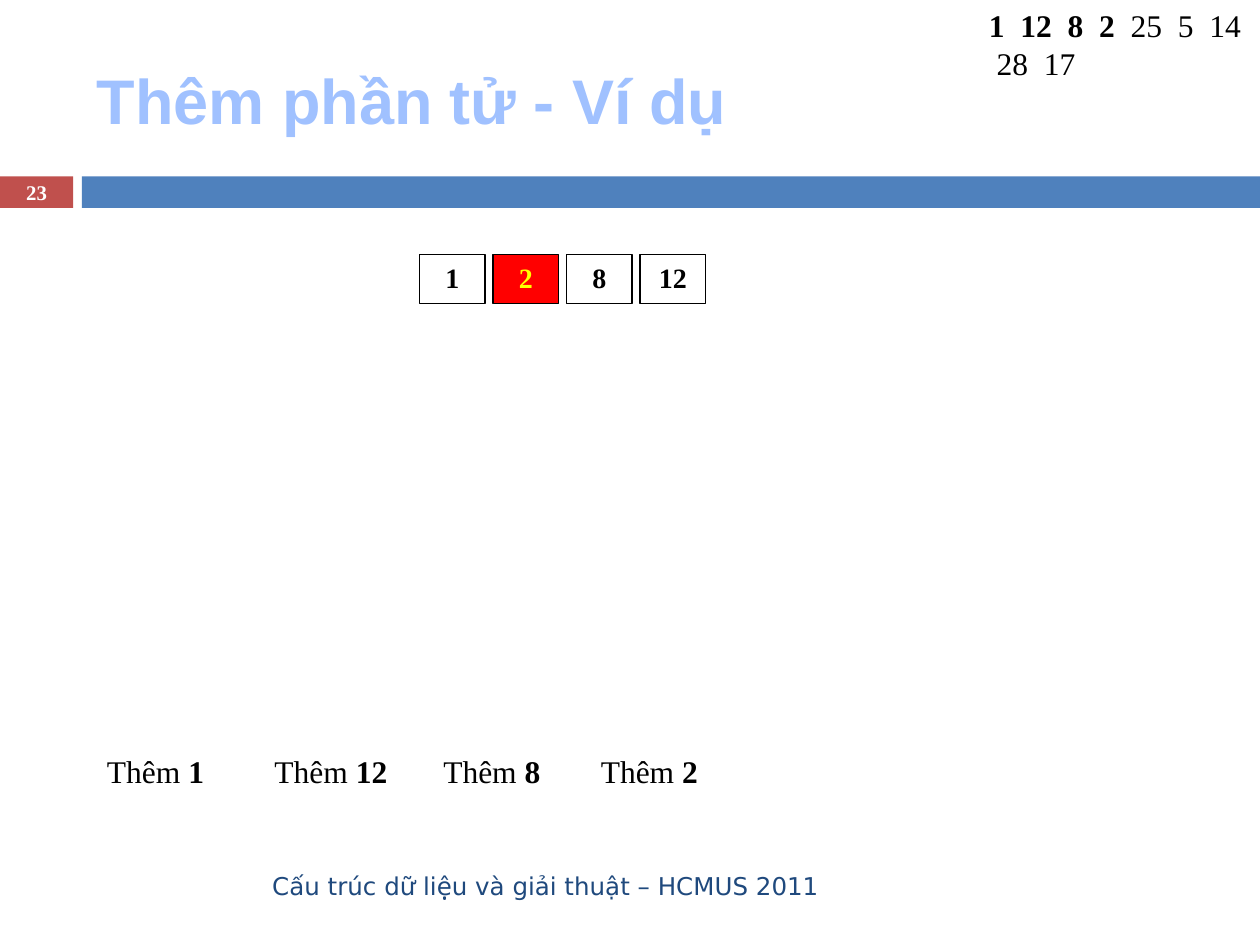
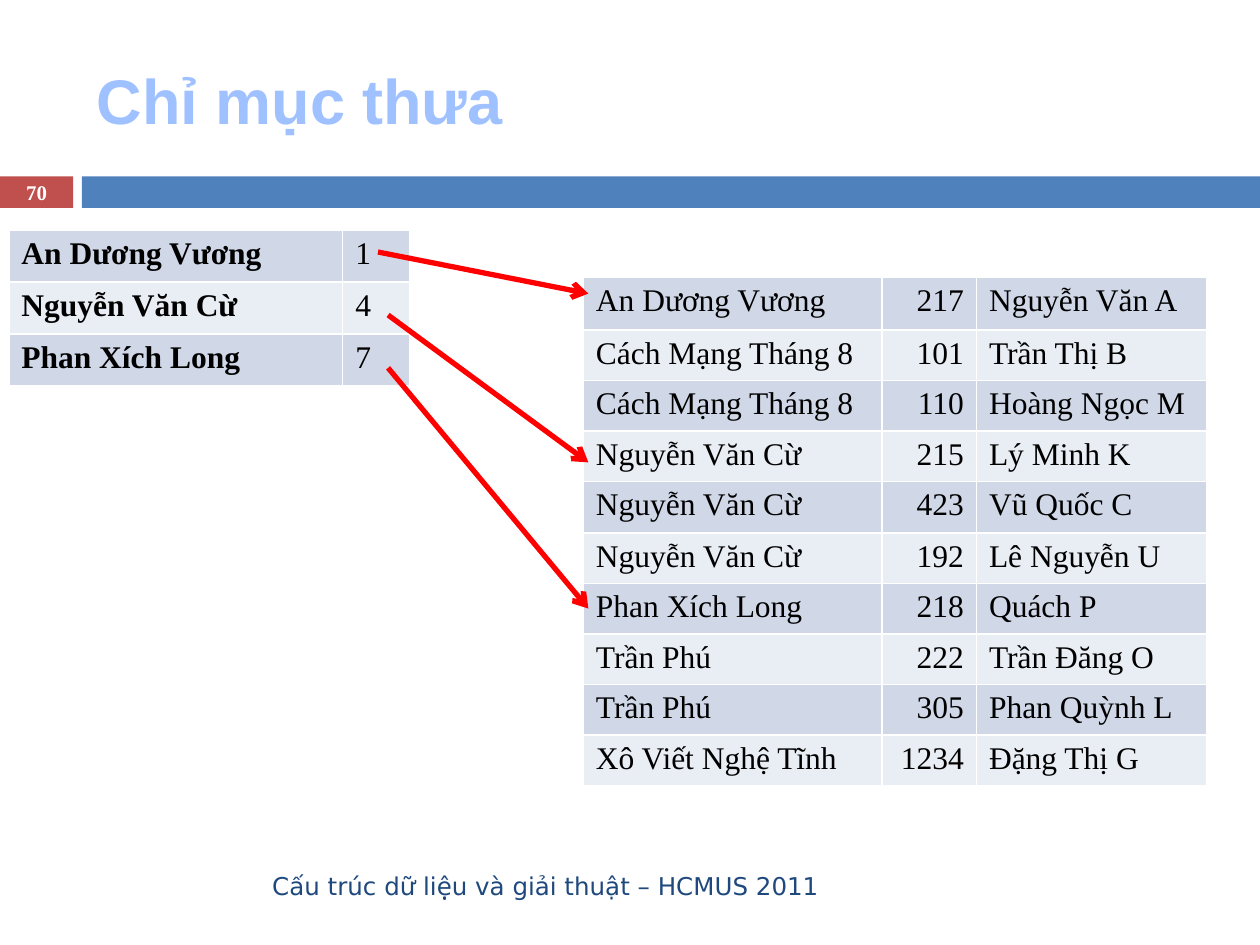
from lxml import etree
from pptx import Presentation
from pptx import util as u
from pptx.dml.color import RGBColor
from pptx.enum import shapes, text
from pptx.oxml import ns

COLORS = {
    "accent": "C0504D", "band": "4F81BD", "title": "A0C1FF", "footer": "1F497D",
    "black": "000000", "white": "FFFFFF", "red": "FF0000", "yellow": "FFFF00",
    "odd_row": "D0D8E8", "even_row": "E9EDF4",
}
SERIF = "Times New Roman"
FOOTER = "Cấu trúc dữ liệu và giải thuật – HCMUS 2011"
LEFT, CENTER, RIGHT = text.PP_ALIGN.LEFT, text.PP_ALIGN.CENTER, text.PP_ALIGN.RIGHT
TOP, MIDDLE = text.MSO_ANCHOR.TOP, text.MSO_ANCHOR.MIDDLE

INDEX_ROWS = [("An Dương Vương", "1"), ("Nguyễn Văn Cừ", "4"), ("Phan Xích Long", "7")]
RECORD_ROWS = [
    ("An Dương Vương", "217", "Nguyễn Văn A"),
    ("Cách Mạng Tháng 8", "101", "Trần Thị B"),
    ("Cách Mạng Tháng 8", "110", "Hoàng Ngọc M"),
    ("Nguyễn Văn Cừ", "215", "Lý Minh K"),
    ("Nguyễn Văn Cừ", "423", "Vũ Quốc C"),
    ("Nguyễn Văn Cừ", "192", "Lê Nguyễn U"),
    ("Phan Xích Long", "218", "Quách P"),
    ("Trần Phú", "222", "Trần Đăng O"),
    ("Trần Phú", "305", "Phan Quỳnh L"),
    ("Xô Viết Nghệ Tĩnh", "1234", "Đặng Thị G"),
]
RECORD_HEIGHTS = [0.42, 0.37, 0.39, 0.39, 0.41] + [0.39] * 5


def rgb(name):
    return RGBColor.from_string(COLORS[name])


def inches(*lengths):
    return [u.Inches(length) for length in lengths]


def write(frame, runs, size, color="black", font=SERIF, align=LEFT):
    """Fill the first paragraph with runs given as (words, bold) pairs."""
    paragraph = frame.paragraphs[0]
    paragraph.alignment = align
    for words, bold in runs:
        run = paragraph.add_run()
        run.text = words
        run.font.name = font
        run.font.size = u.Pt(size)
        run.font.bold = bold
        run.font.color.rgb = rgb(color)


def add_text(slide, box, runs, size, anchor=TOP, **style):
    frame = slide.shapes.add_textbox(*inches(*box)).text_frame
    frame.word_wrap = True
    frame.vertical_anchor = anchor
    write(frame, runs, size, **style)


def add_rectangle(slide, box, fill, line=None):
    shape = slide.shapes.add_shape(shapes.MSO_SHAPE.RECTANGLE, *inches(*box))
    shape.shadow.inherit = False
    shape.fill.solid()
    shape.fill.fore_color.rgb = rgb(fill)
    if line:
        shape.line.color.rgb = rgb(line)
        shape.line.width = u.Pt(0.75)
    else:
        shape.line.fill.background()
    return shape


def add_number_cell(slide, left, number, fill="white", color="black"):
    shape = add_rectangle(slide, (left, 2.02, 0.52, 0.39), fill, "black")
    shape.text_frame.vertical_anchor = TOP
    write(shape.text_frame, [(number, True)], 16, color=color, align=CENTER)


def add_cell_borders(cell):
    properties = cell._tc.get_or_add_tcPr()
    for position, side in enumerate(("lnL", "lnR", "lnT", "lnB")):
        border = etree.Element(ns.qn("a:" + side), w=str(u.Pt(1)))
        fill = etree.SubElement(border, ns.qn("a:solidFill"))
        etree.SubElement(fill, ns.qn("a:srgbClr"), val=COLORS["white"])
        properties.insert(position, border)


def add_banded_table(slide, left, top, widths, heights, rows, bold_first=False, right_column=None):
    box = inches(left, top, sum(widths), sum(heights))
    table = slide.shapes.add_table(len(rows), len(widths), *box).table
    table.first_row = False
    for column, width in zip(table.columns, widths):
        column.width = u.Inches(width)
    for r, (row, height) in enumerate(zip(rows, heights)):
        table.rows[r].height = u.Inches(height)
        for c, words in enumerate(row):
            cell = table.cell(r, c)
            cell.fill.solid()
            cell.fill.fore_color.rgb = rgb("even_row" if r % 2 else "odd_row")
            add_cell_borders(cell)
            write(cell.text_frame, [(words, bold_first and c == 0)], 18,
                  align=RIGHT if c == right_column else LEFT)


def add_arrow(slide, start, end):
    connector = slide.shapes.add_connector(
        shapes.MSO_CONNECTOR.STRAIGHT, *inches(*start, *end))
    connector.line.color.rgb = rgb("red")
    connector.line.width = u.Pt(3)
    etree.SubElement(connector.line._get_or_add_ln(), ns.qn("a:tailEnd"), type="arrow")
    etree.SubElement(connector._element.spPr, ns.qn("a:effectLst"))


def add_slide(presentation, title, number):
    """Add a blank slide with the shared bands, title, footer and number."""
    slide = presentation.slides.add_slide(presentation.slide_layouts[6])
    add_rectangle(slide, (0, 1.4, 0.58, 0.25), "accent")
    add_rectangle(slide, (0.65, 1.4, 9.35, 0.25), "band")
    add_text(slide, (0.67, 0.25, 8.92, 1.08), [(title, True)], 36, MIDDLE,
             color="title", font="Arial")
    add_text(slide, (0.67, 6.83, 5.93, 0.4), [(FOOTER, False)], 14, MIDDLE,
             color="footer", font="DejaVu Sans", align=RIGHT)
    add_text(slide, (0, 1.39, 0.58, 0.27), [(number, True)], 11.9, MIDDLE,
             color="white", align=CENTER)
    return slide


def build_insertion_slide(presentation):
    slide = add_slide(presentation, "Thêm phần tử - Ví dụ", "23")
    add_text(slide, (7.75, 0, 2.25, 0.71),
             [("1  12  8  2", True), ("  25  5  14  28  17", False)], 18)
    for i, number in enumerate(("1", "2", "8", "12")):
        style = ("red", "yellow") if number == "2" else ("white", "black")
        add_number_cell(slide, 3.33 + i * 1.75 / 3, number, *style)
    for left, number in ((0.75, "1"), (2.08, "12"), (3.42, "8"), (4.67, "2")):
        add_text(slide, (left, 5.92, 1.25, 0.4), [("Thêm ", False), (number, True)], 18)


def build_sparse_index_slide(presentation):
    slide = add_slide(presentation, "Chỉ mục thưa", "70")
    add_banded_table(slide, 0.07, 1.83, [2.65, 0.53], [0.41] * 3, INDEX_ROWS, bold_first=True)
    add_banded_table(slide, 4.63, 2.2, [2.37, 0.75, 1.83], RECORD_HEIGHTS, RECORD_ROWS,
                     right_column=1)
    for start, end_top in (((3, 2), 2.33), ((3.08, 2.5), 3.67), ((3.08, 2.92), 4.83)):
        add_arrow(slide, start, (4.67, end_top))


def main():
    presentation = Presentation()
    presentation.slide_width, presentation.slide_height = inches(10, 7.5)
    build_insertion_slide(presentation)
    build_sparse_index_slide(presentation)
    presentation.save("out.pptx")


if __name__ == "__main__":
    main()
